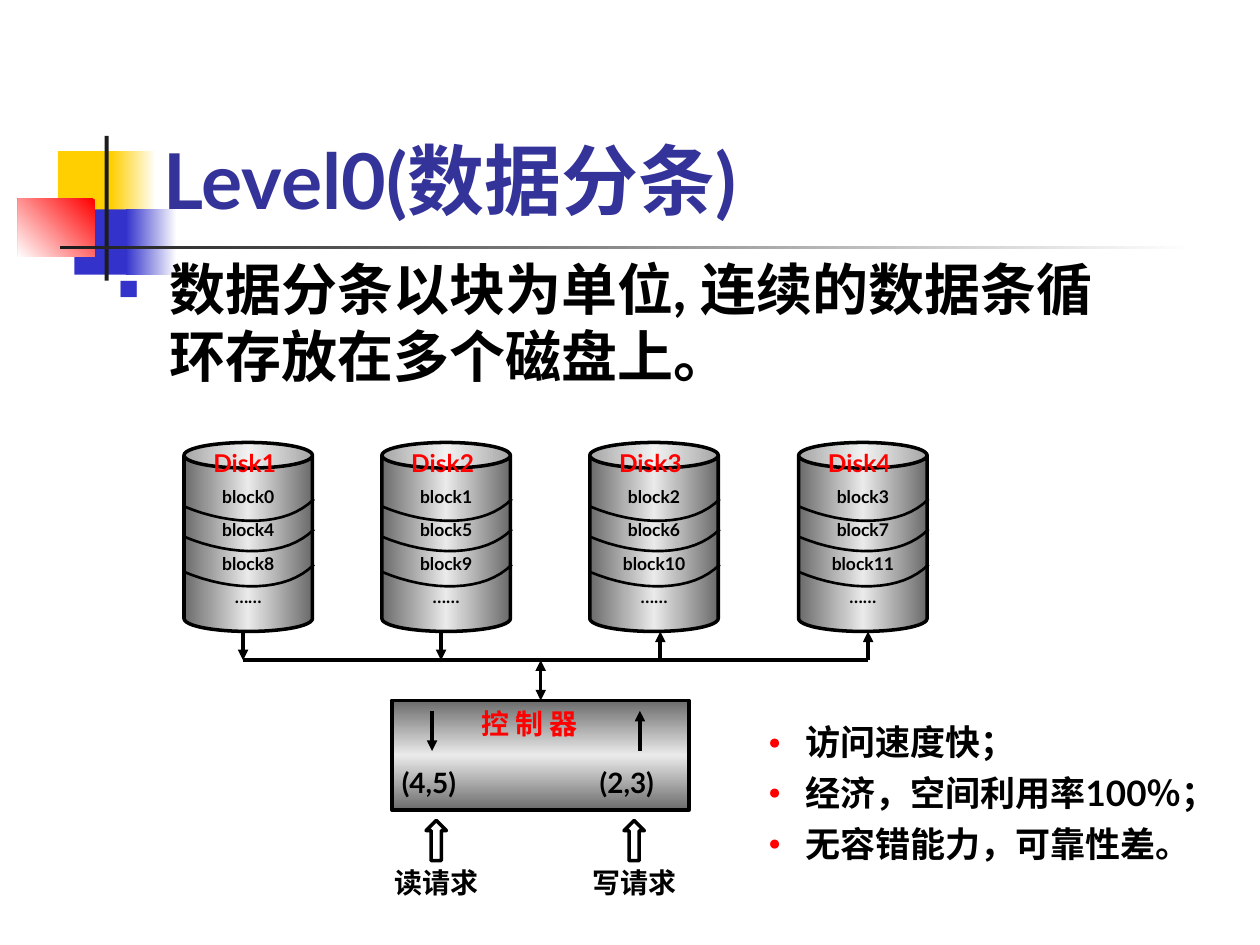
from copy import deepcopy
from dataclasses import dataclass

from lxml import etree
from pptx import Presentation
from pptx import util as u
from pptx.dml import color
from pptx.enum import shapes, text
from pptx.oxml import ns


@dataclass(frozen=True)
class Theme:
    font: str = "Lato"
    black: str = "000000"
    white: str = "FFFFFF"
    red: str = "FF0000"
    yellow: str = "FFCF01"
    blue: str = "3333CC"
    navy: str = "333399"
    charcoal: str = "1C1C1C"
    steel: tuple = ("6B6B6B", "EAEAEA", "6B6B6B")
    title: int = 44
    body: int = 32
    points: int = 20
    label: int = 16
    disk: int = 14
    block: int = 10
    stroke: float = 2
    arc: float = 1.5


theme = Theme()
rgb = color.RGBColor.from_string
left, center = text.PP_ALIGN.LEFT, text.PP_ALIGN.CENTER


def write(holder, lines, size, ink, align=left, gap=0, spacing=1, bullet=None, indent=0, insets=(0, 0, 0, 0)):
    frame = holder.text_frame
    frame.word_wrap = True
    frame.auto_size = text.MSO_AUTO_SIZE.NONE
    frame.margin_left, frame.margin_top, frame.margin_right, frame.margin_bottom = map(u.Cm, insets)
    for number, line in enumerate(lines):
        paragraph = frame.add_paragraph() if number else frame.paragraphs[0]
        if bullet:
            mark, mark_color = bullet
            props = paragraph._p.get_or_add_pPr()
            props.set("marL", str(u.Cm(indent)))
            props.set("indent", str(-u.Cm(indent)))
            tint = etree.SubElement(props, ns.qn("a:buClr"))
            etree.SubElement(tint, ns.qn("a:srgbClr"), val=mark_color)
            etree.SubElement(props, ns.qn("a:buSzPct"), val="60000")
            etree.SubElement(props, ns.qn("a:buChar"), char=mark)
        paragraph.alignment = align
        paragraph.space_before = u.Pt(gap if number else 0)
        paragraph.line_spacing = spacing
        run = paragraph.add_run()
        run.text = line
        run.font.name, run.font.size, run.font.bold = theme.font, u.Pt(size), True
        run.font.color.rgb = rgb(ink)


def connect(x1, y1, x2, y2, ends=()):
    wire = slide.shapes.add_connector(shapes.MSO_CONNECTOR.STRAIGHT, u.Cm(x1), u.Cm(y1), u.Cm(x2), u.Cm(y2))
    wire.line.color.rgb = rgb(theme.black)
    wire.line.width = u.Pt(theme.stroke)
    for end in ends:
        etree.SubElement(wire.line._get_or_add_ln(), ns.qn(f"a:{end}End"), type="triangle")
    etree.SubElement(wire._element.spPr, ns.qn("a:effectLst"))


prs = Presentation()
prs.slide_width, prs.slide_height = u.Cm(25.4), u.Cm(19.05)
slide = prs.slides.add_slide(prs.slide_layouts[3])
title, summary, traits = slide.placeholders
gradients = []

ornaments = [
    (1.17, 3.05, 1.22, 1.32, (theme.yellow,), 0),
    (2.24, 3.05, 0.91, 1.32, (theme.white, theme.yellow), 180),
    (1.5, 4.22, 1.17, 1.32, (theme.blue,), 0),
    (2.54, 4.22, 1.02, 1.32, (theme.white, theme.blue), 180),
    (0.36, 4.01, 1.55, 1.17, (theme.red, theme.white), 135),
    (2.11, 2.74, 0.08, 2.92, (theme.charcoal,), 0),
    (1.22, 4.95, 22.86, 0.08, (theme.white, theme.charcoal), 180),
]
for depth, (*place, colors, angle) in enumerate(ornaments, 2):
    ornament = slide.shapes.add_shape(shapes.MSO_SHAPE.RECTANGLE, *map(u.Cm, place))
    ornament.shadow.inherit = False
    ornament.line.fill.background()
    slide.shapes._spTree.insert(depth, ornament._element)
    if len(colors) == 1:
        ornament.fill.solid()
        ornament.fill.fore_color.rgb = rgb(colors[0])
    else:
        gradients.append((ornament, colors, angle))

for holder, place in (
    (title, (3.3, 2.69, 16.51, 1.85)),
    (summary, (2.39, 5.13, 20.19, 2.72)),
    (traits, (15.49, 14.53, 9.4, 2.9)),
):
    holder.left, holder.top, holder.width, holder.height = map(u.Cm, place)
write(title, ["Level0(数据分条)"], theme.title, theme.navy)
title.text_frame.vertical_anchor = text.MSO_ANCHOR.BOTTOM
write(summary, ["数据分条以块为单位, 连续的数据条循环存放在多个磁盘上。"], theme.body, theme.black,
      bullet=("■", theme.blue), indent=1.02)
write(traits, ["访问速度快；", "经济，空间利用率100％；", "无容错能力，可靠性差。"], theme.points, theme.black,
      gap=5, bullet=("●", theme.red), indent=0.74)

disk_top, disk_bottom, bus_y = 8.92, 12.73, 13.31
disks = [(3.71, 4.9, "tail"), (7.7, 8.89, "tail"), (11.89, 13.31, "head"), (16.1, 17.5, "head")]
curve = [(2.62, 1.14), (2.08, 1.7), (0.99, 1.7), (0, 1.29)]
steps = 16
for index, (disk_left, port, end) in enumerate(disks):
    disk = slide.shapes.add_shape(
        shapes.MSO_SHAPE.CAN, u.Cm(disk_left), u.Cm(disk_top), u.Cm(2.59), u.Cm(disk_bottom - disk_top))
    disk.adjustments[0] = 0.2
    disk.shadow.inherit = False
    disk.line.color.rgb = rgb(theme.black)
    disk.line.width = u.Pt(theme.stroke)
    gradients.append((disk, theme.steel, 180))
    blocks = [f"block{index + row * len(disks)}" for row in range(3)]
    write(disk, blocks + ["……"], theme.block, theme.black, center, spacing=1.6, insets=(0.25, 0, 0.25, 0.13))
    disk.text_frame.word_wrap = False
    disk.text_frame.vertical_anchor = text.MSO_ANCHOR.MIDDLE

    disk_label = slide.shapes.add_textbox(u.Cm(disk_left + 0.59), u.Cm(9.04), u.Cm(1.4), u.Cm(0.58))
    write(disk_label, [f"Disk{index + 1}"], theme.disk, theme.red)

    for drop in (0, 0.61, 1.32):
        points = []
        for step in range(steps + 1):
            t = step / steps
            weights = ((1 - t) ** 3, 3 * t * (1 - t) ** 2, 3 * t * t * (1 - t), t ** 3)
            x, y = (sum(w * p[axis] for w, p in zip(weights, curve)) for axis in (0, 1))
            points.append((u.Cm(disk_left + x), u.Cm(disk_top + drop + y)))
        outline = slide.shapes.build_freeform(*points[0])
        outline.add_line_segments(points[1:], close=False)
        stripe = outline.convert_to_shape()
        stripe.shadow.inherit = False
        stripe.fill.background()
        stripe.line.color.rgb = rgb(theme.black)
        stripe.line.width = u.Pt(theme.arc)
    connect(port, disk_bottom, port, bus_y, [end])

connect(disks[0][1], bus_y, disks[-1][1], bus_y)
connect(10.9, bus_y, 10.9, 14.12, ["head", "tail"])

controller = slide.shapes.add_shape(shapes.MSO_SHAPE.RECTANGLE, u.Cm(7.9), u.Cm(14.12), u.Cm(5.99), u.Cm(2.21))
controller.shadow.inherit = False
controller.line.color.rgb = rgb(theme.black)
controller.line.width = u.Pt(theme.stroke)
gradients.append((controller, theme.steel, 90))
controller_label = slide.shapes.add_textbox(u.Cm(9.7), u.Cm(14.25), u.Cm(2.21), u.Cm(0.69))
write(controller_label, ["控 制 器"], theme.label, theme.red)

requests = [("(4,5)", "读请求", 8.71, "tail"), ("(2,3)", "写请求", 12.9, "head")]
for index, (address, request, flow_x, end) in enumerate(requests):
    shift = index * 3.99
    connect(flow_x, 14.33, flow_x, 15.14, [end])
    address_label = slide.shapes.add_textbox(u.Cm(8.1 + shift), u.Cm(15.44), u.Cm(1.6), u.Cm(0.69))
    write(address_label, [address], theme.label, theme.black)
    request_arrow = slide.shapes.add_shape(
        shapes.MSO_SHAPE.UP_ARROW, u.Cm(8.59 + shift), u.Cm(16.54), u.Cm(0.41), u.Cm(0.81))
    request_arrow.shadow.inherit = False
    request_arrow.fill.background()
    request_arrow.line.color.rgb = rgb(theme.black)
    request_arrow.line.width = u.Pt(theme.stroke)
    request_label = slide.shapes.add_textbox(u.Cm(7.9 + shift), u.Cm(17.45), u.Cm(1.8), u.Cm(0.69))
    write(request_label, [request], theme.label, theme.black, center)

for surface, colors, angle in gradients:
    surface.fill.gradient()
    surface.fill.gradient_angle = 360 - angle
    stops = surface._element.spPr.find(".//" + ns.qn("a:gsLst"))
    if len(colors) == 3:
        middle = deepcopy(stops[0])
        middle.set("pos", "50000")
        stops.insert(1, middle)
    for stop, stop_color in zip(surface.fill.gradient_stops, colors):
        stop.color.rgb = rgb(stop_color)

prs.save("out.pptx")
